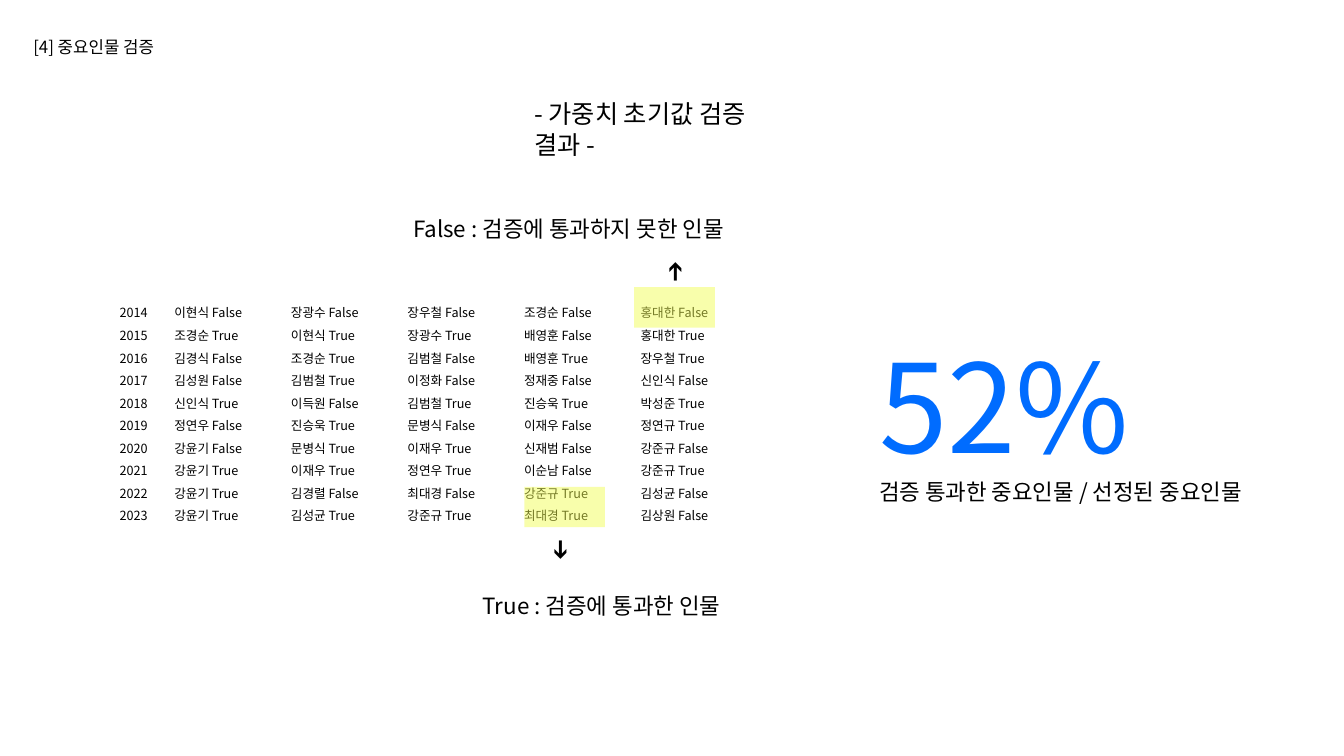
from pptx import Presentation
from pptx.dml.color import RGBColor
from pptx.enum.shapes import MSO_SHAPE
from pptx.enum.text import MSO_ANCHOR, MSO_AUTO_SIZE, PP_ALIGN
from pptx.oxml.ns import qn
from pptx.util import Pt
from lxml import etree

LEFT, MID, JUST = PP_ALIGN.LEFT, PP_ALIGN.CENTER, PP_ALIGN.JUSTIFY
TOP, GROW = MSO_ANCHOR.TOP, MSO_AUTO_SIZE.SHAPE_TO_FIT_TEXT
RECT = MSO_SHAPE.RECTANGLE
SANS, LATIN = "Noto Sans CJK KR", "Calibri"
BLACK, BLUE, YELLOW = "000000", "006CFF", "F2FE50"
SCALE = 9144  # EMU in one px, 100 px to the inch

ROWS = """2014|이현식 False|장광수 False|장우철 False|조경순 False|홍대한 False
2015|조경순 True|이현식 True|장광수 True|배영훈 False|홍대한 True
2016|김경식 False|조경순 True|김범철 False|배영훈 True|장우철 True
2017|김성원 False|김범철 True|이정화 False|정재중 False|신인식 False
2018|신인식 True|이득원 False|김범철 True|진승욱 True|박성준 True
2019|정연우 False|진승욱 True|문병식 False|이재우 False|정연규 True
2020|강윤기 False|문병식 True|이재우 True|신재범 False|강준규 False
2021|강윤기 True|이재우 True|정연우 True|이순남 False|강준규 True
2022|강윤기 True|김경렬 False|최대경 False|강준규 True|김성균 False
2023|강윤기 True|김성균 True|강준규 True|최대경 True|김상원 False"""


def px(*nums):
    return [round(n * SCALE) for n in nums]


def color(code):
    return RGBColor.from_string(code)


def write(par, text, size=16, font=SANS, fill=BLACK, align=LEFT):
    par.alignment = align
    run = par.add_run()
    run.text = text
    run.font.size = Pt(size)
    run.font.name = font
    run.font.color.rgb = color(fill)
    # East Asian letters take the same font
    east = etree.SubElement(run.font._element, qn("a:ea"))
    east.set("typeface", font)


class Deck:
    def __init__(self, wide, high):
        self.file = Presentation()
        self.file.slide_width, self.file.slide_height = px(wide, high)
        self.slide = self.file.slides.add_slide(self.file.slide_layouts[5])

    def frame(self, shape, lines):
        body = shape.text_frame
        body.word_wrap = True
        body.auto_size = GROW
        body.vertical_anchor = TOP
        for i, (text, style) in enumerate(lines):
            par = body.add_paragraph() if i else body.paragraphs[0]
            write(par, text, **style)

    def title(self, box, text, **style):
        shape = self.slide.shapes.title
        shape.left, shape.top, shape.width, shape.height = px(*box)
        self.frame(shape, [(text, style)])

    def text(self, box, *lines, turn=0):
        shape = self.slide.shapes.add_textbox(*px(*box))
        shape.rotation = turn
        self.frame(shape, lines)

    def mark(self, box, fill, alpha):
        shape = self.slide.shapes.add_shape(RECT, *px(*box))
        shape.shadow.inherit = False
        shape.line.fill.background()
        shape.fill.solid()
        shape.fill.fore_color.rgb = color(fill)
        tint = shape._element.spPr.find(f"{qn('a:solidFill')}/{qn('a:srgbClr')}")
        etree.SubElement(tint, qn("a:alpha")).set("val", str(alpha * 1000))

    def table(self, box, first, rows, size):
        wide, high = box[2:]
        count = len(rows[0])
        grid = self.slide.shapes.add_table(len(rows), count, *px(*box)).table
        grid.first_row = grid.horz_banding = False
        rest = (wide - first) / (count - 1)
        for i, col in enumerate(grid.columns):
            col.width, = px(rest if i else first)
        for row, words in zip(grid.rows, rows):
            row.height, = px(high / len(rows))
            for i, (cell, word) in enumerate(zip(row.cells, words)):
                cell.fill.background()
                cell.margin_left, cell.margin_right = px(7, 7)
                cell.margin_top = cell.margin_bottom = 0
                cell.vertical_anchor = TOP
                write(cell.text_frame.paragraphs[0], word, size=size,
                      align=JUST if i else MID)


def main():
    deck = Deck(1333, 750)

    # Headings
    deck.title((23, 31, 231, 30), "[4] 중요인물 검증", size=12)
    deck.text((520, 93, 288, 40), ("- 가중치 초기값 검증 결과 -", {"size": 18}))

    # Results by year
    rows = [line.split("|") for line in ROWS.splitlines()]
    deck.table((99, 301, 645, 224), 67, rows, 9)

    # Share that passed
    deck.text((862, 323, 426, 185), ("52%", {"size": 88, "fill": BLUE}),
              ("검증 통과한 중요인물 / 선정된 중요인물", {}))

    # Marked cells, arrows and their meaning
    for left, top in ((629, 285), (520, 483)):
        deck.mark((left, top, 80, 40), YELLOW, 48)
    for left, top, turn in ((646, 248, 270), (536, 527, 90)):
        deck.text((left, top, 44, 40), ("➔", {"size": 18, "font": LATIN}),
                  turn=turn)
    deck.text((400, 209, 357, 64), ("False : 검증에 통과하지 못한 인물", {}))
    deck.text((469, 583, 357, 37), ("True : 검증에 통과한 인물", {}))

    deck.file.save("out.pptx")


if __name__ == "__main__":
    main()
